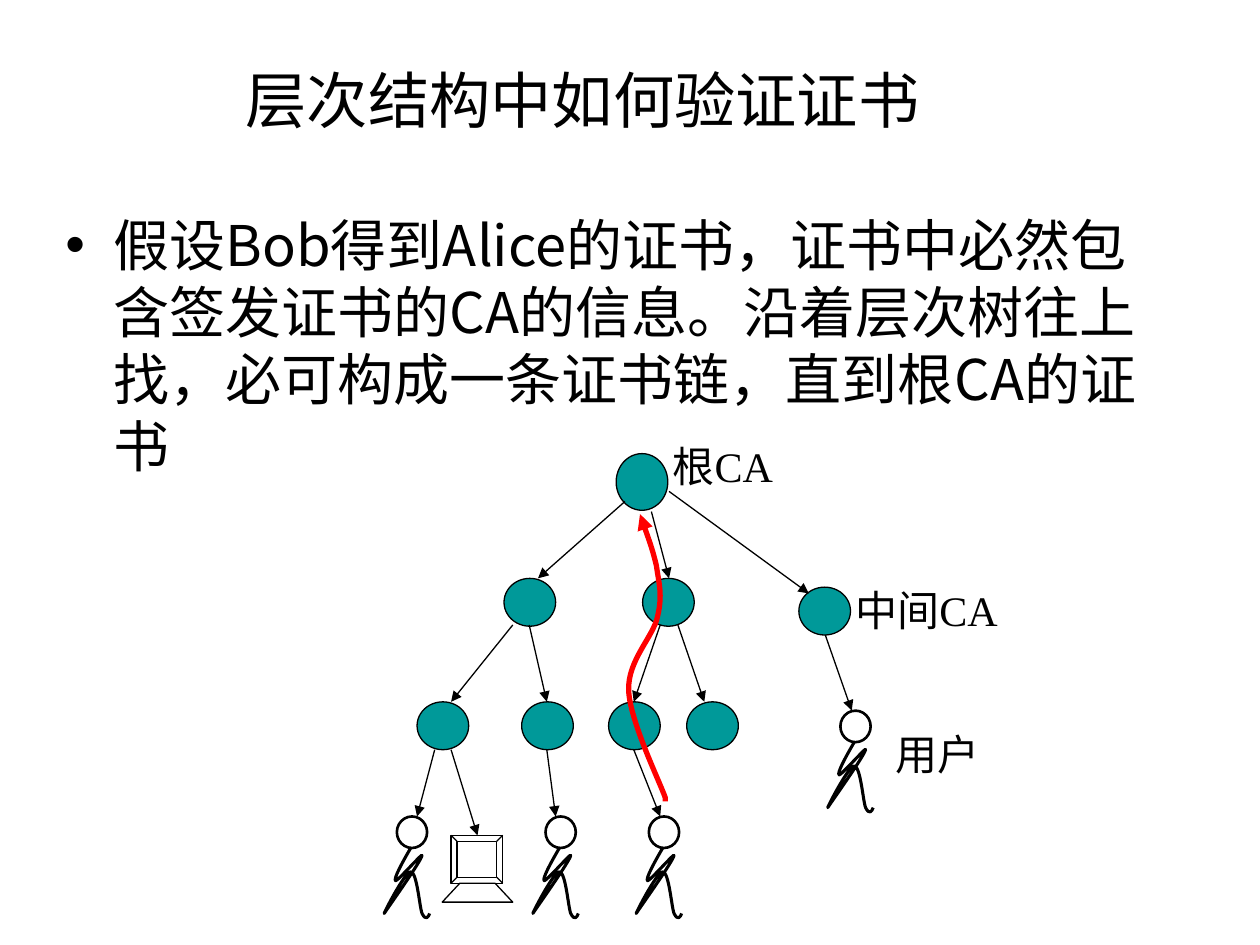
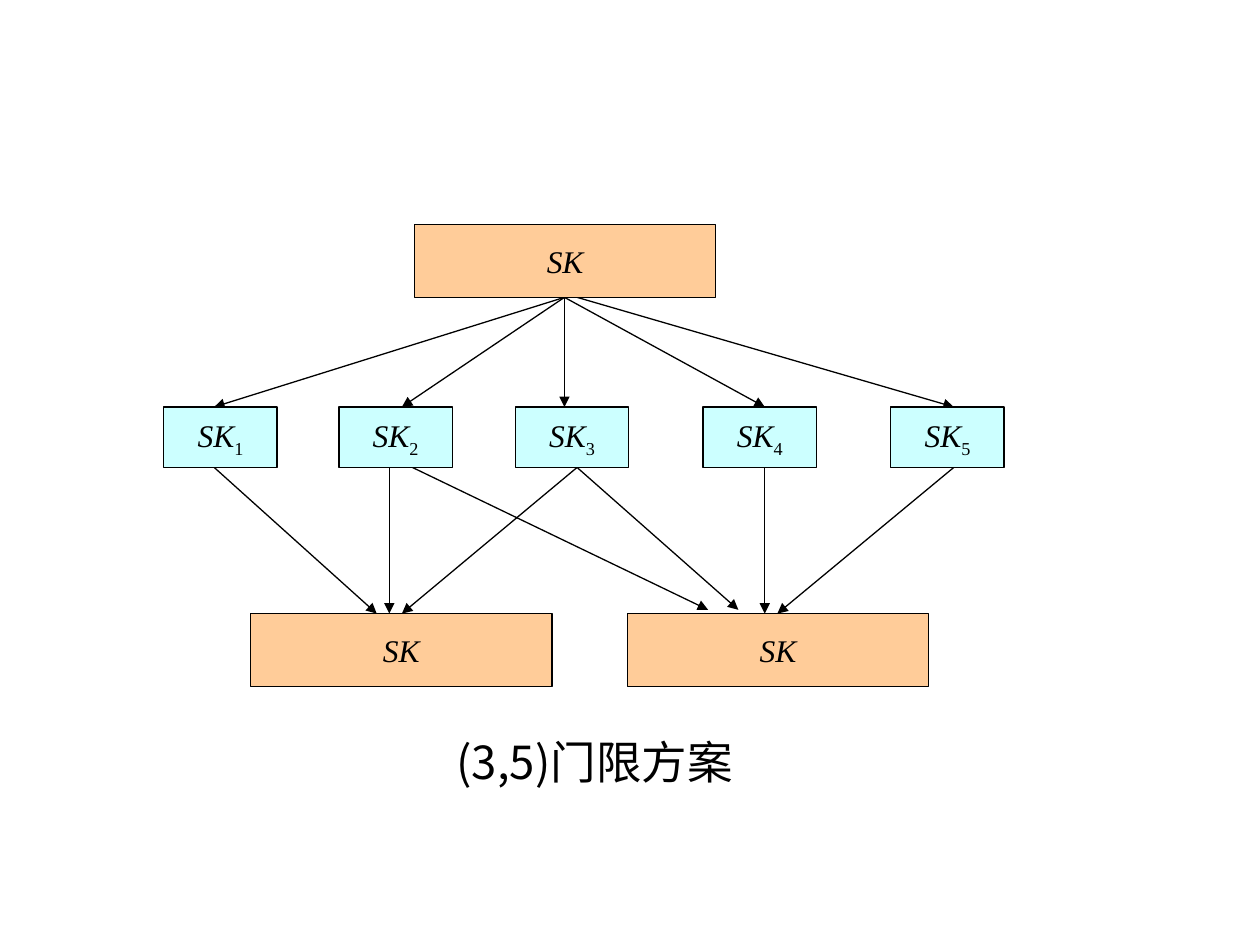
from dataclasses import dataclass

from lxml import etree
from pptx import Presentation
from pptx.dml.color import RGBColor
from pptx.enum.shapes import MSO_CONNECTOR, MSO_SHAPE
from pptx.enum.text import MSO_ANCHOR, PP_ALIGN
from pptx.oxml.ns import qn
from pptx.util import Inches, Pt

OVAL, RECT, BEVEL = MSO_SHAPE.OVAL, MSO_SHAPE.RECTANGLE, MSO_SHAPE.BEVEL
STRAIGHT = MSO_CONNECTOR.STRAIGHT
LEFT, CENTER = PP_ALIGN.LEFT, PP_ALIGN.CENTER
TOP, MIDDLE = MSO_ANCHOR.TOP, MSO_ANCHOR.MIDDLE
BLANK = 6


@dataclass(frozen=True)
class Theme:
    black: str = "000000"
    node: str = "009999"
    key: str = "FFCC99"
    share: str = "CCFFFF"
    chain: str = "FF0000"
    sans: str = "Arial"
    cjk: str = "Noto Sans CJK SC"
    serif: str = "Times New Roman"
    title_size: float = 35
    body_size: float = 32
    caption_size: float = 26
    label_size: float = 24
    key_size: float = 18
    thin: float = 0.75
    head: float = 1.5
    limb: float = 1.75
    thick: float = 3


def bend(sp, first):
    """Turn each three line segments, from number first on, into one cubic curve."""
    segments = list(sp._element.iter(qn("a:lnTo")))[first:]
    for i in range(0, len(segments), 3):
        curve = etree.Element(qn("a:cubicBezTo"))
        segments[i].addprevious(curve)
        for segment in segments[i:i + 3]:
            curve.append(segment[0])
            segment.getparent().remove(segment)


class Deck:
    def __init__(self, theme):
        self.theme = theme
        self.prs = Presentation()
        self.prs.slide_width, self.prs.slide_height = Inches(10), Inches(7.5)
        self.shapes = None

    def new_slide(self):
        layout = self.prs.slide_layouts[BLANK]
        self.shapes = self.prs.slides.add_slide(layout).shapes

    def style_line(self, line, width, color=None):
        line.color.rgb = RGBColor.from_string(color or self.theme.black)
        line.width = Pt(width)

    def style_run(self, r, size, font, italic=False):
        r.font.size, r.font.name, r.font.italic = Pt(size), font, italic
        r.font.color.rgb = RGBColor.from_string(self.theme.black)
        ea = etree.SubElement(r.font._element, qn("a:ea"))
        ea.set("typeface", self.theme.cjk)

    def add_arrowhead(self, line):
        ln = line._get_or_add_ln()
        etree.SubElement(ln, qn("a:tailEnd")).set("type", "triangle")

    def text(self, text, x, y, w, h, size, font, align=LEFT, anchor=TOP,
             wrap=True, bullet=False):
        tf = self.shapes.add_textbox(*map(Inches, (x, y, w, h))).text_frame
        tf.word_wrap, tf.vertical_anchor = wrap, anchor
        p = tf.paragraphs[0]
        p.text, p.alignment = text, align
        if bullet:
            pPr = p._p.get_or_add_pPr()
            pPr.set("marL", str(Inches(0.38)))
            pPr.set("indent", str(Inches(-0.38)))
            etree.SubElement(pPr, qn("a:buFont")).set("typeface", self.theme.sans)
            etree.SubElement(pPr, qn("a:buChar")).set("char", "•")
        self.style_run(p.runs[0], size, font)

    def title(self, text):
        self.text(text, 0.5, 0.13, 8.25, 1.31, self.theme.title_size,
                  self.theme.sans, CENTER, MIDDLE)

    def shape(self, kind, x, y, w, h, fill=None, width=None):
        sp = self.shapes.add_shape(kind, *map(Inches, (x, y, w, h)))
        sp.shadow.inherit = False
        if fill:
            sp.fill.solid()
            sp.fill.fore_color.rgb = RGBColor.from_string(fill)
        else:
            sp.fill.background()
        self.style_line(sp.line, width or self.theme.thin)
        return sp

    def key_box(self, x, y, w, h, fill, index=""):
        tf = self.shape(RECT, x, y, w, h, fill).text_frame
        tf.word_wrap, tf.vertical_anchor = False, MIDDLE
        p = tf.paragraphs[0]
        p.text, p.alignment = "SK", CENTER
        self.style_run(p.runs[0], self.theme.key_size, self.theme.serif, True)
        if index:
            r = p.add_run()
            r.text = index
            self.style_run(r, self.theme.key_size, self.theme.serif)
            r.font._element.set("baseline", "-25000")

    def arrow(self, x1, y1, x2, y2):
        c = self.shapes.add_connector(STRAIGHT, *map(Inches, (x1, y1, x2, y2)))
        self.style_line(c.line, self.theme.thin)
        self.add_arrowhead(c.line)
        etree.SubElement(c._element.spPr, qn("a:effectLst"))

    def outline(self, points, width, color=None, close=False):
        pts = [(Inches(x), Inches(y)) for x, y in points]
        fb = self.shapes.build_freeform(*pts[0])
        fb.add_line_segments(pts[1:], close=close)
        sp = fb.convert_to_shape()
        sp.shadow.inherit = False
        sp.fill.background()
        self.style_line(sp.line, width, color)
        return sp

    def person(self, x, y):
        """Stick figure whose head has its top left corner at x, y."""
        self.shape(OVAL, x, y, 0.24, 0.25, width=self.theme.head)
        limbs = [(0.11, 0.25),
                 (0.04, 0.37), (-0.03, 0.5), (-0.01, 0.51),
                 (0, 0.52), (0.22, 0.27), (0.2, 0.31),
                 (0.19, 0.36), (-0.09, 0.75), (-0.1, 0.77),
                 (-0.12, 0.8), (0.06, 0.44), (0.11, 0.44),
                 (0.16, 0.44), (0.18, 0.72), (0.2, 0.77),
                 (0.23, 0.83), (0.25, 0.8), (0.26, 0.77)]
        sp = self.outline([(x + dx, y + dy) for dx, dy in limbs], self.theme.limb)
        bend(sp, 0)

    def computer(self, x, y):
        self.shape(BEVEL, x, y, 0.41, 0.38)
        base = [(-0.07, 0.53), (0.07, 0.38), (0.35, 0.38), (0.49, 0.53)]
        self.outline([(x + dx, y + dy) for dx, dy in base],
                     self.theme.thin, close=True)

    def chain(self, points):
        """Red arrow: one straight segment, then curves."""
        sp = self.outline(points, self.theme.thick, self.theme.chain)
        bend(sp, 1)
        self.add_arrowhead(sp.line)


def build_hierarchy(deck):
    th = deck.theme
    deck.new_slide()
    deck.title("层次结构中如何验证证书")
    deck.text("假设Bob得到Alice的证书，证书中必然包含签发证书的CA的信息。"
              "沿着层次树往上找，必可构成一条证书链，直到根CA的证书",
              0.42, 1.62, 9.01, 1.89, th.body_size, th.cjk, bullet=True)

    deck.shape(OVAL, 4.89, 3.6, 0.41, 0.45, th.node)
    authorities = [(4, 4.59), (5.1, 4.59), (6.34, 4.66)]
    authorities += [(x, 5.57) for x in (3.31, 4.14, 4.83, 5.45)]
    for x, y in authorities:
        deck.shape(OVAL, x, y, 0.41, 0.38, th.node)

    root_links = [(4.96, 3.98, 4.27, 4.59), (5.17, 4.06, 5.31, 4.59),
                  (5.31, 3.9, 6.42, 4.71)]
    middle_links = [(x1, 4.96, x2, 5.57) for x1, x2 in
                    ((4.07, 3.58), (4.2, 4.34), (5.24, 5.03), (5.38, 5.59))]
    user_links = [(x1, 5.95, x2, 6.48) for x1, x2 in
                  ((3.45, 3.31), (4.34, 4.41), (5.03, 5.24))]
    other_links = [(3.58, 5.95, 3.79, 6.63), (6.55, 5.04, 6.76, 5.64)]
    for link in root_links + middle_links + user_links + other_links:
        deck.arrow(*link)

    for x, y in ((3.15, 6.48), (4.33, 6.48), (5.15, 6.48), (6.67, 5.64)):
        deck.person(x, y)
    deck.computer(3.58, 6.63)

    deck.text("根CA", 5.24, 3.45, 1.38, 0.5, th.label_size, th.serif)
    deck.text("中间CA", 6.69, 4.59, 1.38, 0.5, th.label_size, th.serif)
    deck.text("用户", 7.01, 5.73, 0.87, 0.5, th.label_size, th.sans, wrap=False)
    deck.chain([(5.28, 6.36), (5.28, 6.33),
                (5.23, 6.19), (5, 5.72), (4.99, 5.48),
                (4.98, 5.24), (5.19, 5.05), (5.22, 4.89),
                (5.26, 4.72), (5.23, 4.63), (5.21, 4.49),
                (5.18, 4.36), (5.11, 4.17), (5.08, 4.08)])


def build_threshold(deck):
    th = deck.theme
    deck.new_slide()
    deck.text("(3,5)门限方案", 2.22, 5.78, 5, 0.53, th.caption_size, th.cjk, CENTER)

    split_links = [(4.48, 2.36, x, 3.23) for x in (1.7, 3.19, 4.48, 6.07)]
    split_links.append((4.58, 2.36, 7.57, 3.23))
    merge_links = [(x1, 3.71, x2, 4.87) for x1, x2 in
                   ((1.7, 2.99), (3.09, 3.09), (4.58, 3.19),
                    (6.07, 6.07), (7.57, 6.17))]
    short_links = [(3.19, 3.67, 5.62, 4.84), (4.58, 3.71, 5.86, 4.84)]
    for link in split_links + merge_links + short_links:
        deck.arrow(*link)

    for x, y in ((3.29, 1.78), (1.99, 4.87), (4.98, 4.87)):
        deck.key_box(x, y, 2.39, 0.58, th.key)
    for i, x in enumerate((1.3, 2.69, 4.09, 5.58, 7.07), start=1):
        deck.key_box(x, 3.23, 0.9, 0.48, th.share, str(i))


def main():
    deck = Deck(Theme())
    build_hierarchy(deck)
    build_threshold(deck)
    deck.prs.save("out.pptx")


if __name__ == "__main__":
    main()
